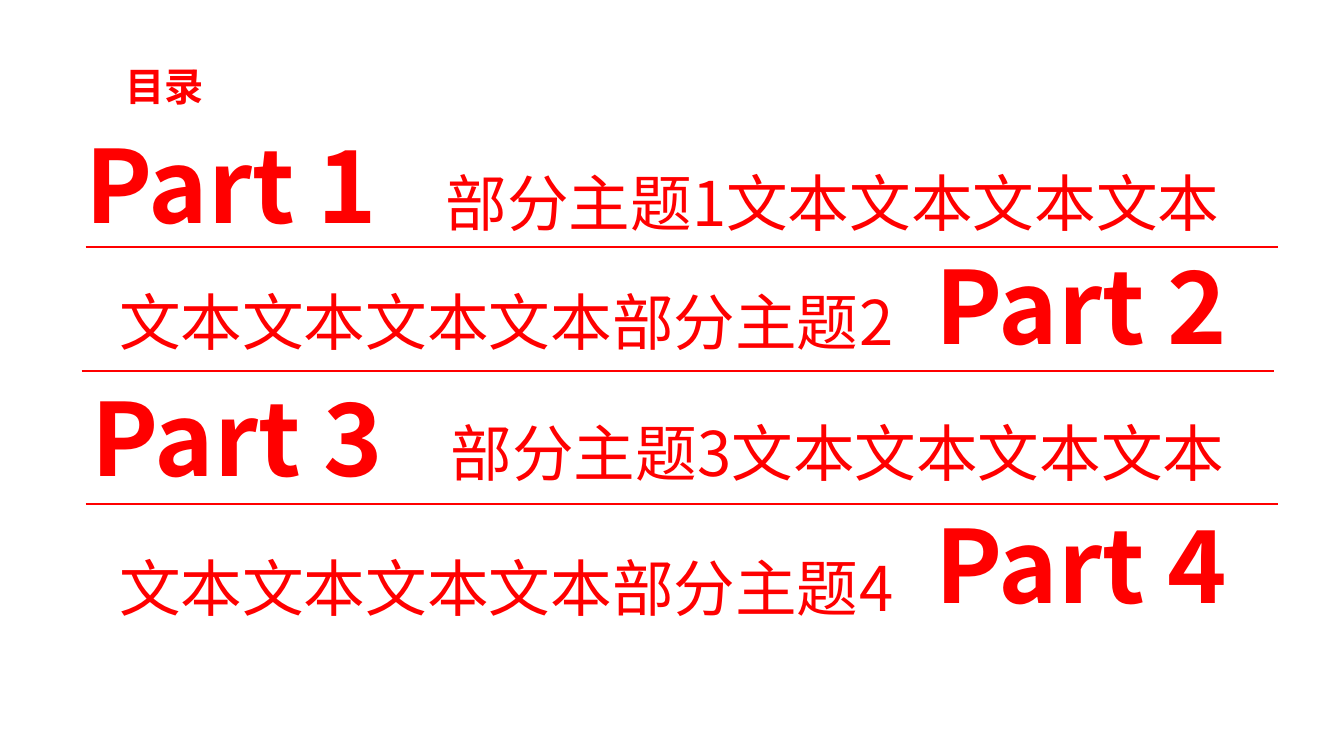
from lxml import etree
from pptx import Presentation
from pptx.dml.color import RGBColor
from pptx.enum.shapes import MSO_CONNECTOR
from pptx.enum.text import MSO_AUTO_SIZE, PP_ALIGN
from pptx.oxml.ns import qn
from pptx.util import Inches, Pt

LINE = MSO_CONNECTOR.STRAIGHT
GROW = MSO_AUTO_SIZE.SHAPE_TO_FIT_TEXT
LEFT, RIGHT = PP_ALIGN.LEFT, PP_ALIGN.RIGHT
FONT, RED = "Noto Sans CJK SC", "FF0000"
FILLER = "文本" * 4

TITLE = ("目录", 1.15, 0.57, 4.14, 0.57)
PARTS = [
    {"label": (0.75, 1.17), "topic": (4.32, 1.59)},
    {"label": (9.18, 2.37), "topic": (0.70, 2.77)},
    {"label": (0.81, 3.68), "topic": (4.37, 4.07)},
    {"label": (9.18, 4.94), "topic": (0.70, 5.41)},
]
LABEL_WIDTHS, LABEL_HEIGHT = (5.18, 3.6), 1.31
TOPIC_WIDTH, TOPIC_HEIGHT = 8.26, 0.84
RULES = [(0.85, 2.45), (0.81, 3.68), (0.85, 5.0)]
RULE_LENGTH = 11.83


def color(value):
    return RGBColor.from_string(value)


def add_text(s, text, x, y, w, h, size, bold=False, align=LEFT):
    tf = s.shapes.add_textbox(Inches(x), Inches(y), Inches(w), Inches(h)).text_frame
    tf.word_wrap = True
    tf.auto_size = GROW
    tf.text = text
    p = tf.paragraphs[0]
    p.alignment = align
    r = p.runs[0]
    r.font.size, r.font.bold, r.font.name = Pt(size), bold, FONT
    r.font.color.rgb = color(RED)
    etree.SubElement(r.font._element, qn("a:ea")).set("typeface", FONT)


def add_rule(s, x, y):
    rule = s.shapes.add_connector(
        LINE, Inches(x), Inches(y), Inches(x + RULE_LENGTH), Inches(y))
    rule.line.color.rgb = color(RED)
    rule.line.width = Pt(2)
    etree.SubElement(rule._element.spPr, qn("a:effectLst"))


def main():
    """Build the contents slide with alternating part labels and topics."""
    prs = Presentation()
    prs.slide_width, prs.slide_height = Inches(13.33), Inches(7.5)
    s = prs.slides.add_slide(prs.slide_layouts[6])
    add_text(s, *TITLE, 28, bold=True)
    for i, part in enumerate(PARTS):
        number, mirrored = i + 1, i % 2
        topic = f"部分主题{number}"
        text = FILLER + topic if mirrored else topic + FILLER
        add_text(s, text, *part["topic"], TOPIC_WIDTH, TOPIC_HEIGHT, 44,
                 align=RIGHT if mirrored else LEFT)
        add_text(s, f"Part {number}", *part["label"], LABEL_WIDTHS[mirrored],
                 LABEL_HEIGHT, 72, bold=True)
    for x, y in RULES:
        add_rule(s, x, y)
    prs.save("out.pptx")


main()
